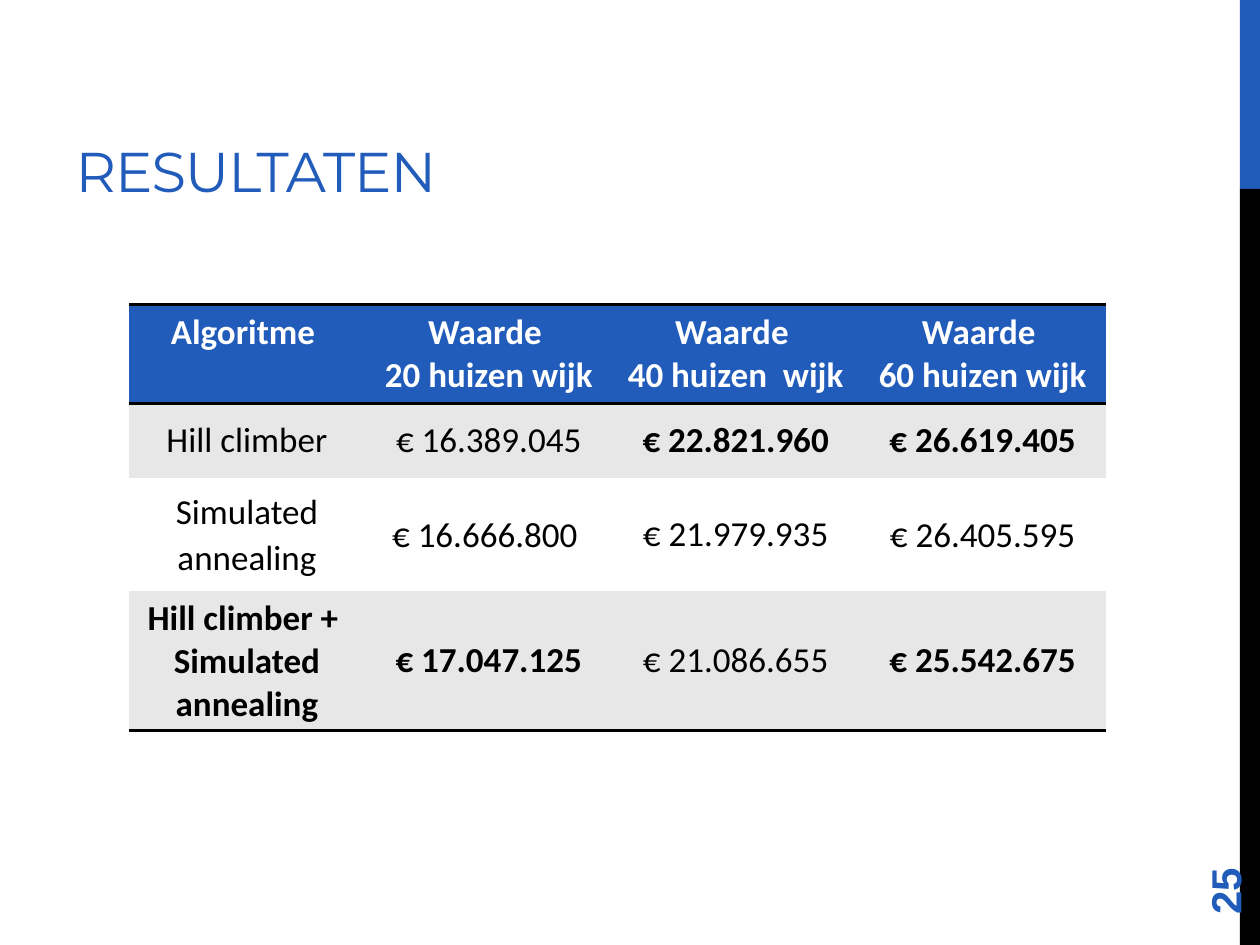
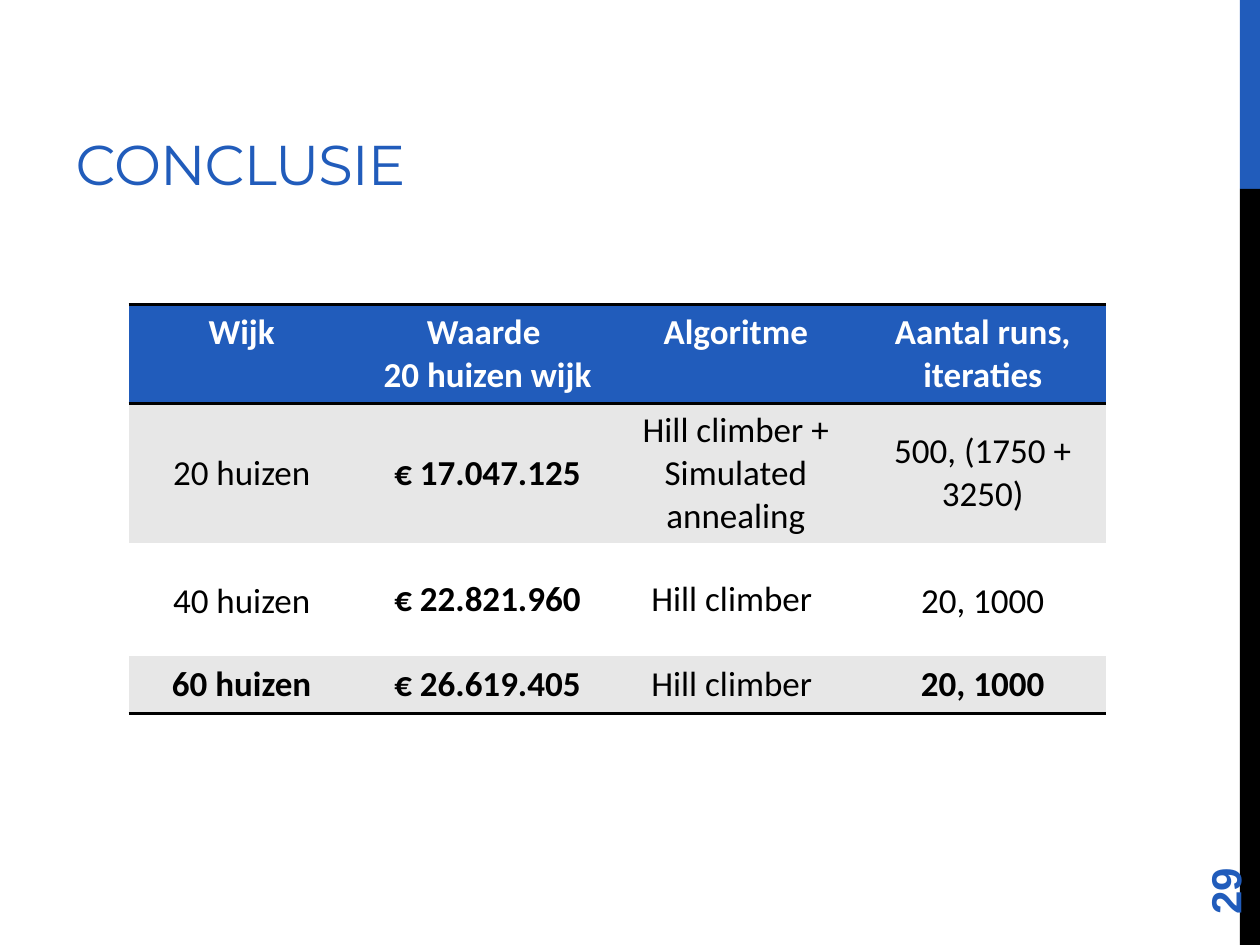
import pptx
import pptx.dml.color
import pptx.enum.shapes
import pptx.enum.text
import pptx.oxml
import pptx.oxml.ns
import pptx.util
from lxml import etree

Inches = pptx.util.Inches
Pt = pptx.util.Pt
qn = pptx.oxml.ns.qn
ALIGN = pptx.enum.text.PP_ALIGN
ANCHOR = pptx.enum.text.MSO_ANCHOR

BLUE, BLACK, WHITE, GREY = "215CBB", "000000", "FFFFFF", "E7E7E7"
NO_STYLE = "{2D5ABB26-0587-4C30-8999-92F81FD0307C}"
TABLE_LEFT, TABLE_TOP = 1.02, 2.42
LOOSE_SPACING = 1.07


def colour(hex_code):
    return pptx.dml.color.RGBColor.from_string(hex_code)


def write(frame, text, font, size, hex_code, bold=False, align=ALIGN.LEFT,
          spacing=None, tracking=None):
    """Fill a text frame, one paragraph for each line of text."""
    for number, line in enumerate(text.split("\n")):
        paragraph = frame.add_paragraph() if number else frame.paragraphs[0]
        paragraph.alignment = align
        if spacing:
            paragraph.line_spacing = spacing
        run = paragraph.add_run()
        run.text = line
        run.font.name = font
        run.font.size = Pt(size)
        run.font.bold = bold
        run.font.color.rgb = colour(hex_code)
        if tracking:
            run.font._element.set("spc", str(round(tracking * 100)))


# Shared parts
def add_side_bands(layout, slide):
    """Draw the right-hand bands and hand them over to the layout."""
    bands = ((0, 1.5, BLUE), (1.5, 6, BLACK))
    for number, (top, height, fill) in enumerate(bands):
        band = slide.shapes.add_shape(
            pptx.enum.shapes.MSO_SHAPE.RECTANGLE,
            Inches(9.84), Inches(top), Inches(0.16), Inches(height))
        band.shadow.inherit = False
        band.fill.solid()
        band.fill.fore_color.rgb = colour(fill)
        band.line.fill.background()
        band._element.nvSpPr.cNvPr.set("id", str(101 + number))
        layout.shapes._spTree.append(band._element)


def place_title(slide, text, box):
    title = slide.shapes.title
    title.left, title.top, title.width, title.height = map(Inches, box)
    frame = title.text_frame
    frame.auto_size = pptx.enum.text.MSO_AUTO_SIZE.NONE
    frame.vertical_anchor = ANCHOR.BOTTOM
    write(frame, text, "Montserrat", 32, BLUE, tracking=-0.6)


def add_page_number(slide, number):
    page = slide.shapes.add_textbox(
        Inches(9), Inches(6.44), Inches(1.44), Inches(0.4))
    page.rotation = 270
    page.text_frame.word_wrap = True
    page.text_frame.vertical_anchor = ANCHOR.MIDDLE
    write(page.text_frame, str(number), "Arial", 24, BLUE, bold=True)


# Table
def add_rule(cell, side):
    """Draw a 2 pt black border; side is lnT or lnB."""
    line = etree.SubElement(cell._tc.get_or_add_tcPr(), qn("a:" + side),
                            w=str(Pt(2)))
    fill = etree.SubElement(line, qn("a:solidFill"))
    etree.SubElement(fill, qn("a:srgbClr"), val=BLACK)


def add_results_table(slide, rows, widths, heights, bold, loose):
    """bold and loose hold the (row, column) of the cells so formatted."""
    frame = slide.shapes.add_table(
        len(rows), len(widths), Inches(TABLE_LEFT), Inches(TABLE_TOP),
        Inches(sum(widths)), Inches(sum(heights)))
    table = frame.table
    table.first_row = table.horz_banding = False
    table._tbl.tblPr.find(qn("a:tableStyleId")).text = NO_STYLE
    for column, width in zip(table.columns, widths):
        column.width = Inches(width)
    for row, height in zip(table.rows, heights):
        row.height = Inches(height)

    for r, texts in enumerate(rows):
        header = r == 0
        for c, text in enumerate(texts):
            cell = table.cell(r, c)
            if header:
                add_rule(cell, "lnT")
            if header or r == len(rows) - 1:
                add_rule(cell, "lnB")
            cell.fill.solid()
            cell.fill.fore_color.rgb = colour(
                BLUE if header else GREY if r % 2 else WHITE)
            cell.vertical_anchor = ANCHOR.TOP if header else ANCHOR.MIDDLE
            write(cell.text_frame, text, "Calibri", 20,
                  WHITE if header else BLACK,
                  bold=header or (r, c) in bold, align=ALIGN.CENTER,
                  spacing=LOOSE_SPACING if (r, c) in loose else None)


def fill_table_slide(slide, title, title_box, page, **table):
    place_title(slide, title, title_box)
    add_page_number(slide, page)
    add_results_table(slide, **table)


def main():
    deck = pptx.Presentation()
    deck.slide_width, deck.slide_height = Inches(10), Inches(7.5)
    title_only = deck.slide_layouts[5]
    results = deck.slides.add_slide(title_only)
    conclusion = deck.slides.add_slide(title_only)
    add_side_bands(title_only, results)

    # Results per algorithm
    fill_table_slide(
        results, "RESULTATEN", (0.5, 0.17, 6.33, 1.5), 25,
        rows=[
            ["Algoritme ", "Waarde \n20 huizen wijk",
             "Waarde \n40 huizen  wijk", "Waarde \n60 huizen wijk"],
            ["Hill climber", "€ 16.389.045", "€ 22.821.960", "€ 26.619.405"],
            ["Simulated annealing", "€ 16.666.800 ", "€ 21.979.935",
             "€ 26.405.595"],
            ["Hill climber +  Simulated annealing", "€ 17.047.125",
             "€ 21.086.655", "€ 25.542.675"],
        ],
        widths=[1.88, 1.96, 1.96, 1.96], heights=[0.78, 0.59, 0.9, 1.11],
        bold={(1, 2), (1, 3), (3, 0), (3, 1), (3, 3)},
        loose={(2, 0), (2, 1), (2, 3)})

    # Best algorithm per district
    fill_table_slide(
        conclusion, "CONCLUSIE", (0.5, 0.17, 8.42, 1.44), 29,
        rows=[
            ["Wijk ", "Waarde \n20 huizen wijk", "Algoritme",
             "Aantal runs, iteraties"],
            ["20 huizen ", "€ 17.047.125",
             "Hill climber + Simulated annealing", "500, (1750 + 3250)"],
            ["40 huizen ", "€ 22.821.960", "Hill climber ", "20, 1000"],
            ["60 huizen ", "€ 26.619.405", "Hill climber ", "20, 1000"],
        ],
        widths=[1.86, 1.98, 1.96, 1.96], heights=[0.78, 1.11, 0.9, 0.45],
        bold={(1, 1), (2, 1), (3, 0), (3, 1), (3, 3)},
        loose={(2, 0), (2, 3)})

    deck.save("out.pptx")


if __name__ == "__main__":
    main()
